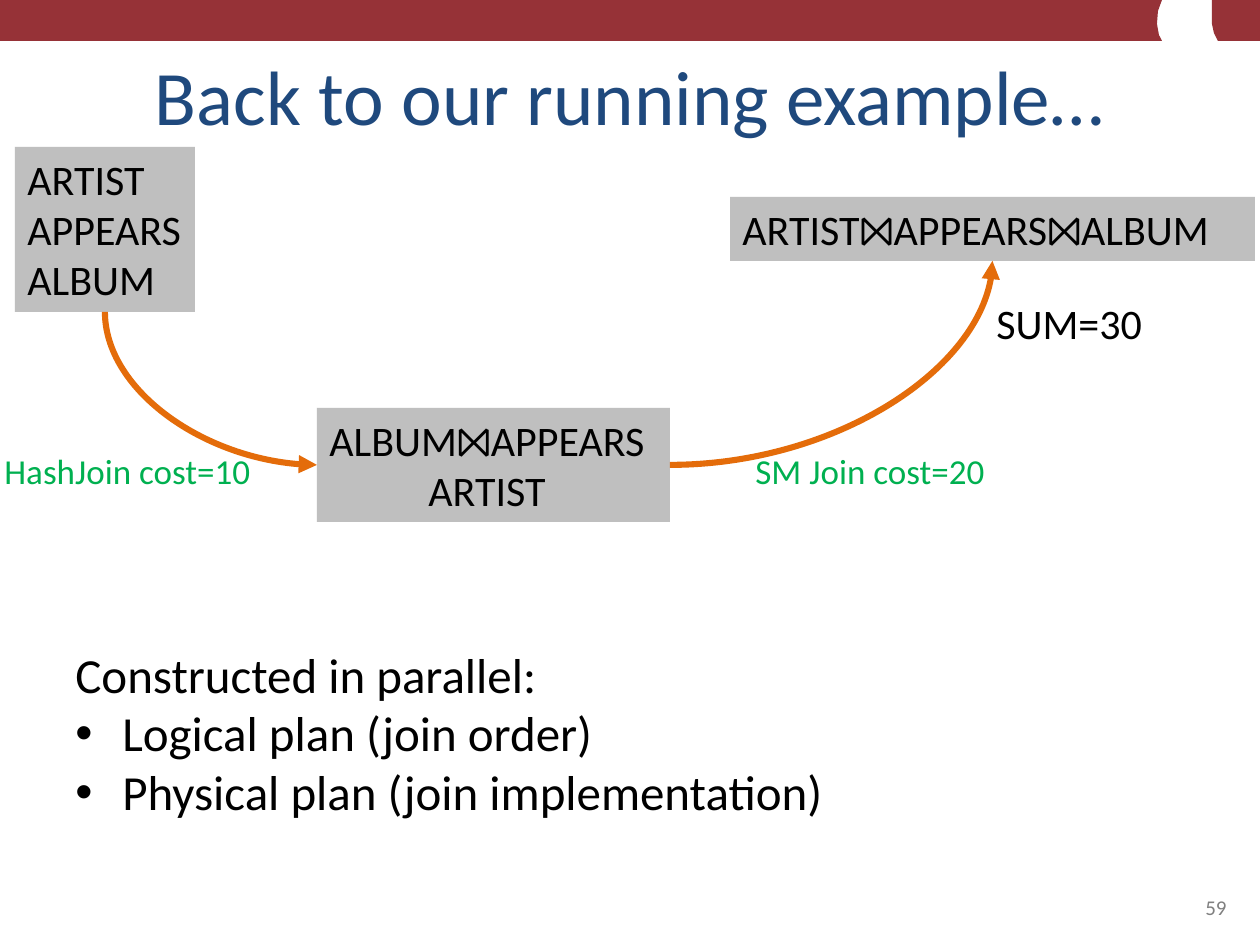
import pptx
import pptx.util
import pptx.dml.color
import pptx.enum.shapes
import pptx.enum.text
from lxml import etree

RED = pptx.dml.color.RGBColor(0x96, 0x32, 0x37)
BLACK = pptx.dml.color.RGBColor(0, 0, 0)
NAVY = pptx.dml.color.RGBColor(0x1F, 0x49, 0x7D)
GRAY = pptx.dml.color.RGBColor(0x80, 0x80, 0x80)
SILVER = pptx.dml.color.RGBColor(0xBF, 0xBF, 0xBF)
ORANGE = pptx.dml.color.RGBColor(0xE4, 0x6C, 0x0A)
GREEN = pptx.dml.color.RGBColor(0x00, 0xB0, 0x50)
LEFT = pptx.enum.text.PP_ALIGN.LEFT
CENTER = pptx.enum.text.PP_ALIGN.CENTER
RIGHT = pptx.enum.text.PP_ALIGN.RIGHT
TOP = pptx.enum.text.MSO_ANCHOR.TOP
BOTTOM = pptx.enum.text.MSO_ANCHOR.BOTTOM
BOX_TOP, BOX_LEFT, BOX_BOTTOM, BOX_RIGHT = range(4)
PX = 914400 // 126
BAND_PIECES = [
    [(0, 0), (677, 0), (629, 9), (602, 17), (598, 24), (610, 30), (639, 36), (677, 41), (0, 41)],
    [(454, 0), (1140, 0), (1139, 41), (537, 41), (488, 35), (464, 29), (454, 24)],
    [(1115, 0), (1162, 0), (1158, 11), (1157, 24), (1159, 35), (1162, 41), (1115, 41)],
    [(1212, 0), (1260, 0), (1260, 41), (1218, 41), (1214, 33), (1212, 24)],
]


def px(*lengths):
    """Turn pixel lengths into EMU."""
    return [pptx.util.Emu(length * PX) for length in lengths]


def write(box, lines, size, color, align=LEFT, anchor=TOP, wrap=False):
    """Fill a box with one paragraph per line."""
    frame = box.text_frame
    frame.word_wrap = wrap
    frame.vertical_anchor = anchor
    if anchor == TOP:
        frame.auto_size = pptx.enum.text.MSO_AUTO_SIZE.SHAPE_TO_FIT_TEXT
    frame.text = "\n".join(lines)
    for para in frame.paragraphs:
        para.alignment = align
        para.font.name = "Calibri"
        para.font.size = pptx.util.Pt(size)
        para.font.color.rgb = color
    return frame.paragraphs


def add_text(page, area, lines, size, color, **layout):
    """Add a text box and return its paragraphs."""
    return write(page.shapes.add_textbox(*px(*area)), lines, size, color, **layout)


def paint(shape, color):
    """Fill a shape flat, without outline or shadow."""
    shape.shadow.inherit = False
    shape.fill.solid()
    shape.fill.fore_color.rgb = color
    shape.line.fill.background()


def add_band_piece(page, points):
    """Add one piece of the top band."""
    outline = page.shapes.build_freeform(*points[0], scale=PX)
    outline.add_line_segments(points[1:], close=True)
    paint(outline.convert_to_shape(), RED)


def add_relations(page, area, lines):
    """Add a grey box that lists relations."""
    box = page.shapes.add_shape(pptx.enum.shapes.MSO_SHAPE.RECTANGLE, *px(*area))
    paint(box, SILVER)
    return box, write(box, lines, 24, BLACK)


def add_arrow(page, source, source_side, target, target_side):
    """Add a quarter-curve arrow between two boxes."""
    arrow = page.shapes.add_connector(pptx.enum.shapes.MSO_CONNECTOR.CURVE, 0, 0, 0, 0)
    arrow.begin_connect(source, source_side)
    arrow.end_connect(target, target_side)
    arrow.line.color.rgb = ORANGE
    arrow.line.width = pptx.util.Pt(3.5)
    properties = arrow._element.spPr
    properties.find(pptx.oxml.ns.qn("a:prstGeom")).set("prst", "curvedConnector2")
    line = properties.find(pptx.oxml.ns.qn("a:ln"))
    etree.SubElement(line, pptx.oxml.ns.qn("a:tailEnd"), type="triangle")
    etree.SubElement(properties, pptx.oxml.ns.qn("a:effectLst"))
    return arrow


def start_downward(arrow):
    """Turn a right-and-down curve so that it leaves vertically."""
    width, height = arrow.width, arrow.height
    arrow.left += (width - height) // 2
    arrow.top += (height - width) // 2
    arrow.width, arrow.height = height, width
    frame = arrow._element.spPr.find(pptx.oxml.ns.qn("a:xfrm"))
    frame.set("rot", "16200000")
    frame.set("flipH", "1")


def add_bullet(para, indent):
    """Give a paragraph a hanging bullet."""
    properties = para._p.get_or_add_pPr()
    properties.set("marL", str(indent * PX))
    properties.set("indent", str(-indent * PX))
    properties.insert(0, etree.Element(pptx.oxml.ns.qn("a:buFont"), typeface="Arial"))
    properties.insert(1, etree.Element(pptx.oxml.ns.qn("a:buChar"), char="•"))


def main():
    """Build the slide."""
    deck = pptx.Presentation()
    deck.slide_width, deck.slide_height = px(1260, 945)
    page = deck.slides.add_slide(deck.slide_layouts[6])

    for points in BAND_PIECES:
        add_band_piece(page, points)

    tables, _ = add_relations(page, (15, 147, 180, 165), ["ARTIST", "APPEARS", "ALBUM"])
    result, _ = add_relations(page, (730, 197, 525, 64), ["ARTIST⨝APPEARS⨝ALBUM"])
    partial, lines = add_relations(page, (317, 408, 353, 114), ["ALBUM⨝APPEARS", "ARTIST"])
    lines[1].alignment = CENTER
    start_downward(add_arrow(page, tables, BOX_BOTTOM, partial, BOX_LEFT))
    add_arrow(page, partial, BOX_RIGHT, result, BOX_BOTTOM)

    add_text(page, (63, 38, 1134, 109), ["Back to our running example…"], 44, NAVY,
             align=CENTER, anchor=BOTTOM, wrap=True)
    add_text(page, (903, 861, 336, 65), ["59"], 12, GRAY,
             align=RIGHT, anchor=BOTTOM, wrap=True)
    add_text(page, (-8, 443, 273, 55), ["HashJoin cost=10"], 20, GREEN)
    add_text(page, (743, 443, 257, 55), ["SM Join cost=20"], 20, GREEN)
    add_text(page, (984, 291, 173, 63), ["SUM=30"], 24, BLACK)
    plans = add_text(page, (63, 638, 1171, 190),
                     ["Constructed in parallel:", "Logical plan (join order)",
                      "Physical plan (join implementation)"], 28, BLACK, wrap=True)
    for para in plans[1:]:
        add_bullet(para, 47)

    deck.save("out.pptx")


if __name__ == "__main__":
    main()
